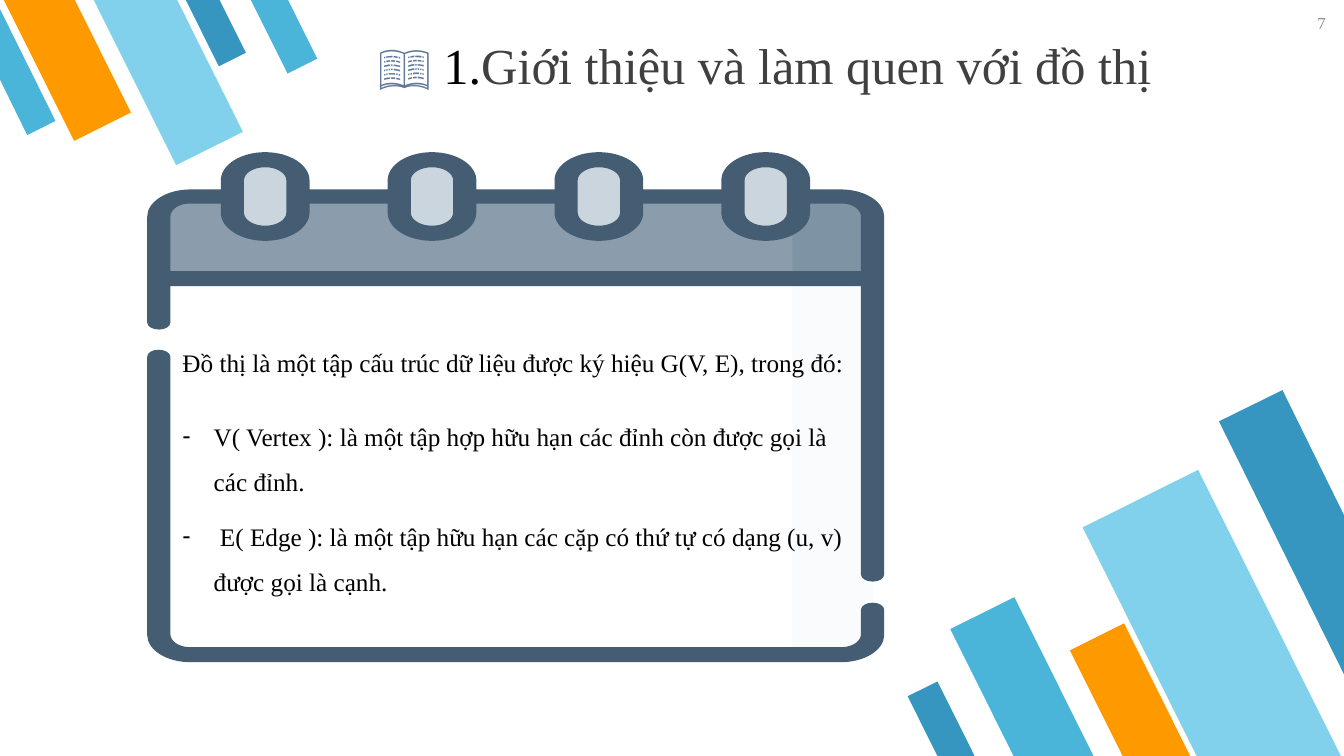
import math
from lxml import etree
from pptx import Presentation
from pptx.dml.color import RGBColor
from pptx.enum import shapes, text
from pptx.oxml.ns import qn
from pptx.util import Inches, Pt

# Content
HEADING = [("📖 ", "icon"), ("1.", "black"), ("Giới thiệu và làm quen với đồ thị", "heading")]
INTRO = "Đồ thị là một tập cấu trúc dữ liệu được ký hiệu G(V, E), trong đó:"
DEFINITIONS = [
    "V( Vertex ): là một tập hợp hữu hạn các đỉnh còn được gọi là các đỉnh.",
    " E( Edge ): là một tập hữu hạn các cặp có thứ tự có dạng (u, v) được gọi là cạnh.",
]
PAGE = "7"

FONT = "Times New Roman"
COLORS = {
    "icon": "607896", "black": "000000", "heading": "404040", "page": "8C8C8C",
    "teal": "4BB5D9", "sky": "81D1EC", "orange": "FF9900", "blue": "3796BF",
    "frame": "445D73", "band": "8B9DAC", "band_shade": "7E93A3",
    "paper_shade": "FAFBFC", "hole": "CAD5DD",
}

# Ribbons: rotation -> (left, top, width, height, color)
RIBBONS = {
    153.5: [(9.78, 5.99, 0.71, 1.76, "teal"), (11.38, 4.78, 1.28, 3.18, "sky"),
            (10.91, 6.24, 0.6, 1.48, "orange"), (9.17, 6.79, 0.33, 0.83, "blue")],
    333.5: [(1.99, -0.11, 0.3, 0.74, "blue"), (0.35, -0.24, 0.63, 1.58, "orange"),
            (1.3, -0.26, 0.74, 1.83, "sky"), (2.65, -0.13, 0.33, 0.83, "teal")],
}
# Ribbons cut off by the slide edge
CUT_RIBBONS = [
    ([(12.72, 3.87), (12.09, 4.18), (13.33, 6.69), (13.33, 5.11)], "blue"),
    ([(0.27, 1.34), (0.55, 1.2), (0, 0.09), (0, 0.79)], "teal"),
]

# Notepad: corners are (x, y, (radius x, radius y))
SHARP, CAP = (0, 0), (0.11, 0.07)
OUTER, MIDDLE, INNER = (0.43, 0.27), (0.31, 0.2), (0.19, 0.13)
LEFT, LEFT_IN, RIGHT_IN, RIGHT = 1.46, 1.69, 8.54, 8.77
TOP, WINDOW_TOP, WINDOW_BOTTOM = 1.88, 2.02, 2.69
RING_MIDDLE = 1.95
RING_CENTERS = [2.63 + 1.655 * i for i in range(4)]
RING_OUTER, RING_DISC, RING_HOLE = (0.44, 0.44, 0.28), (0.33, 0.36, 0.21), (0.21, 0.29, 0.13)

prs = Presentation()
prs.slide_width, prs.slide_height = Inches(13.33), Inches(7.5)
slide = prs.slides.add_slide(prs.slide_layouts[1])


def paint(shape, color):
    shape.shadow.inherit = False
    shape.fill.solid()
    shape.fill.fore_color.rgb = RGBColor.from_string(COLORS[color])
    shape.line.fill.background()


def box(left, top, right, bottom, radii):
    """Corners clockwise from the top left."""
    xy = [(left, top), (right, top), (right, bottom), (left, bottom)]
    return [(x, y, r) for (x, y), r in zip(xy, radii)]


def ring(center, size):
    half_w, half_h, bend = size
    return box(center - half_w, RING_MIDDLE - half_h, center + half_w,
               RING_MIDDLE + half_h, [(half_w, bend)] * 4)


def around_rings(edge, side):
    """Corners of a horizontal edge that goes round each ring, above or below."""
    half_w, half_h, bend = RING_OUTER
    corners = []
    for center in RING_CENTERS:
        far, radius = RING_MIDDLE + side * half_h, (half_w, bend)
        corners += [(center - half_w, edge, SHARP), (center - half_w, far, radius),
                    (center + half_w, far, radius), (center + half_w, edge, SHARP)]
    return corners


def outline(corners):
    """Points of an outline, each with a flag for where a curve's three points begin."""
    points = []
    for i, (x, y, (rx, ry)) in enumerate(corners):
        if not rx:
            points.append((x, y, False))
            continue
        ends = []
        for nx, ny, _ in (corners[i - 1], corners[(i + 1) % len(corners)]):
            ends.append((x + (math.copysign(rx, nx - x) if nx != x else 0),
                         y + (math.copysign(ry, ny - y) if ny != y else 0)))
        pulls = [(ex + (x - ex) * 0.55, ey + (y - ey) * 0.55) for ex, ey in ends]
        if not points or math.dist(points[-1][:2], ends[0]) > 0.01:
            points.append((*ends[0], False))
        points += [(*pulls[0], True), (*pulls[1], False), (*ends[1], False)]
    return points


def draw(color, *contours):
    builder, curve_starts = None, []
    for contour in map(outline, contours):
        points = [(Inches(x), Inches(y)) for x, y, _ in contour]
        if builder is None:
            builder = slide.shapes.build_freeform(*points[0])
        else:
            builder.move_to(*points[0])
        builder.add_line_segments(points[1:])
        curve_starts += [flag for *_, flag in contour[1:]]
    shape = builder.convert_to_shape()
    lines = list(shape.element.iter(qn("a:lnTo")))
    for i, starts in enumerate(curve_starts):
        if starts:
            first, *others = lines[i:i + 3]
            first.tag = qn("a:cubicBezTo")
            for other in others:
                first.append(other[0])
                other.getparent().remove(other)
    paint(shape, color)


def place(shape, left, top, width, height, inset_x=0.1, inset_y=0.05):
    shape.left, shape.top = Inches(left), Inches(top)
    shape.width, shape.height = Inches(width), Inches(height)
    settings = {
        "word_wrap": True, "auto_size": text.MSO_AUTO_SIZE.NONE,
        "vertical_anchor": text.MSO_ANCHOR.TOP,
        "margin_left": Inches(inset_x), "margin_right": Inches(inset_x),
        "margin_top": Inches(inset_y), "margin_bottom": Inches(inset_y),
    }
    for name, value in settings.items():
        setattr(shape.text_frame, name, value)
    return shape.text_frame


def write(paragraph, words, size, color):
    run = paragraph.add_run()
    run.text = words
    run.font.name, run.font.size = FONT, Pt(size)
    run.font.color.rgb = RGBColor.from_string(COLORS[color])


# Corner ribbons
for rotation, ribbons in RIBBONS.items():
    for *frame, color in ribbons:
        ribbon = slide.shapes.add_shape(shapes.MSO_SHAPE.FLOWCHART_MANUAL_INPUT,
                                        *map(Inches, frame))
        ribbon.rotation = rotation
        ribbon.element.spPr.find(qn("a:xfrm")).set("flipH", "1")
        paint(ribbon, color)
for points, color in CUT_RIBBONS:
    draw(color, [(x, y, SHARP) for x, y in points])

# Notepad
draw("paper_shade", box(7.86, 1.95, 8.66, 6.5, [SHARP, MIDDLE, MIDDLE, SHARP]))
draw("band", box(1.57, 1.95, 8.66, 2.77, [MIDDLE, MIDDLE, SHARP, SHARP]))
draw("band_shade", box(7.86, 1.95, 8.66, 2.77, [SHARP, MIDDLE, SHARP, SHARP]))
for center in RING_CENTERS:
    draw("hole", ring(center, RING_DISC))
upper_frame = [(LEFT, TOP, OUTER), *around_rings(TOP, -1), (RIGHT, TOP, OUTER),
               (RIGHT, 5.77, CAP), (RIGHT_IN, 5.77, CAP), (RIGHT_IN, 2.84, SHARP),
               (LEFT_IN, 2.84, SHARP), (LEFT_IN, 3.27, CAP), (LEFT, 3.27, CAP)]
window = [(LEFT_IN, WINDOW_TOP, INNER), *around_rings(WINDOW_TOP, 1),
          (RIGHT_IN, WINDOW_TOP, INNER), (RIGHT_IN, WINDOW_BOTTOM, SHARP),
          (LEFT_IN, WINDOW_BOTTOM, SHARP)]
lower_frame = [(LEFT, 3.47, CAP), (LEFT_IN, 3.47, CAP), (LEFT_IN, 6.42, INNER),
               (RIGHT_IN, 6.42, INNER), (RIGHT_IN, 5.98, CAP), (RIGHT, 5.98, CAP),
               (RIGHT, 6.57, OUTER), (LEFT, 6.57, OUTER)]
draw("frame", upper_frame, window, *[ring(center, RING_HOLE) for center in RING_CENTERS])
draw("frame", lower_frame)

# Heading
heading = place(slide.shapes.title, 3.65, 0.29, 8.69, 0.71).paragraphs[0]
heading.alignment = text.PP_ALIGN.LEFT
for words, color in HEADING:
    write(heading, words, 36, color)

# Definitions, in front of the notepad
body = slide.placeholders[1]
slide.shapes.element.append(body.element)
definitions = place(body, 1.71, 3.25, 6.8, 3.08)
for i, words in enumerate([INTRO] + DEFINITIONS):
    line = definitions.add_paragraph() if i else definitions.paragraphs[0]
    spacing = {"line_spacing": 1.5, "space_before": Pt(5 if i else 0),
               "space_after": Pt(1.5 if i else 15), "alignment": text.PP_ALIGN.LEFT}
    for name, value in spacing.items():
        setattr(line, name, value)
    write(line, words, 18, "black")
    props = line._p.get_or_add_pPr()
    indent = Inches(0.31) if i else 0
    props.set("marL", str(indent))
    props.set("indent", str(-indent))
    if i:
        etree.SubElement(props, qn("a:buChar")).set("char", "-")
    else:
        etree.SubElement(props, qn("a:buNone"))

# Page number
page_box = slide.shapes.add_textbox(0, 0, 0, 0)
page = place(page_box, 12.48, 0, 0.8, 0.57, 0.13, 0.13).paragraphs[0]
page.alignment = text.PP_ALIGN.RIGHT
write(page, PAGE, 12, "page")

prs.save("out.pptx")
